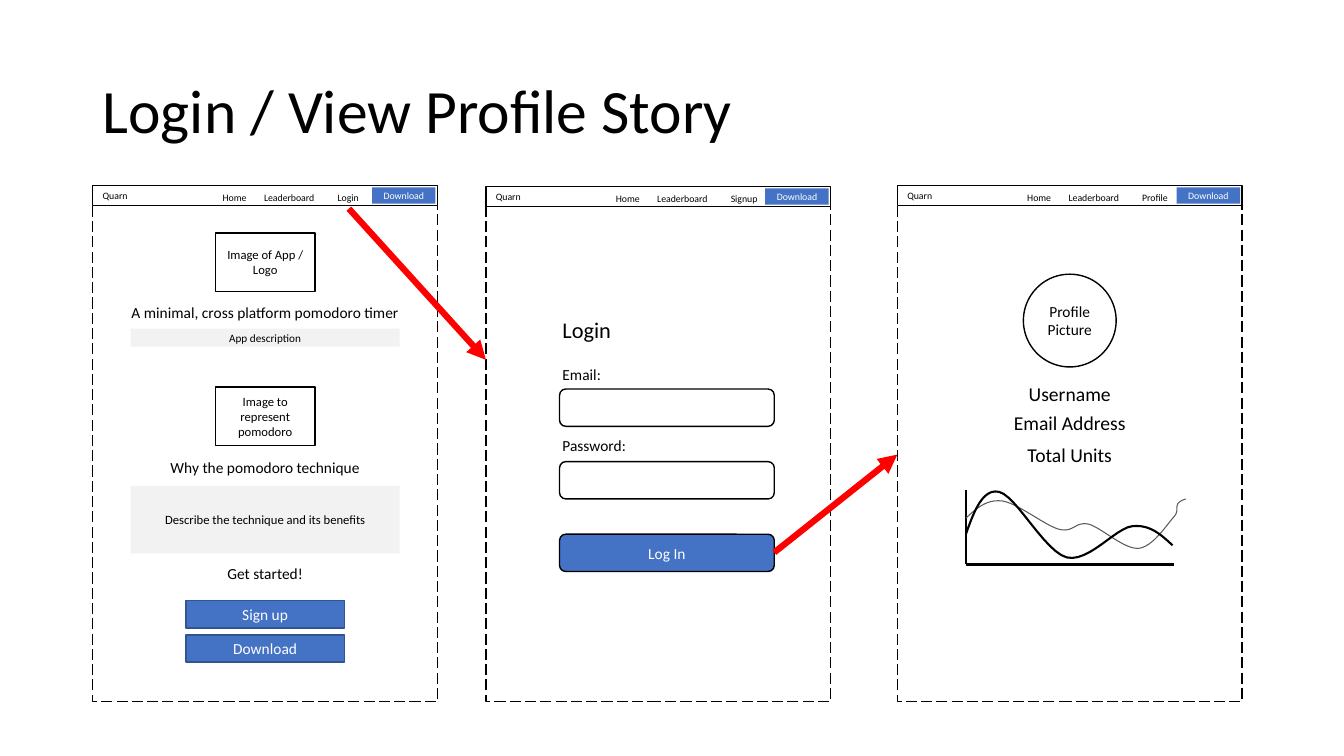
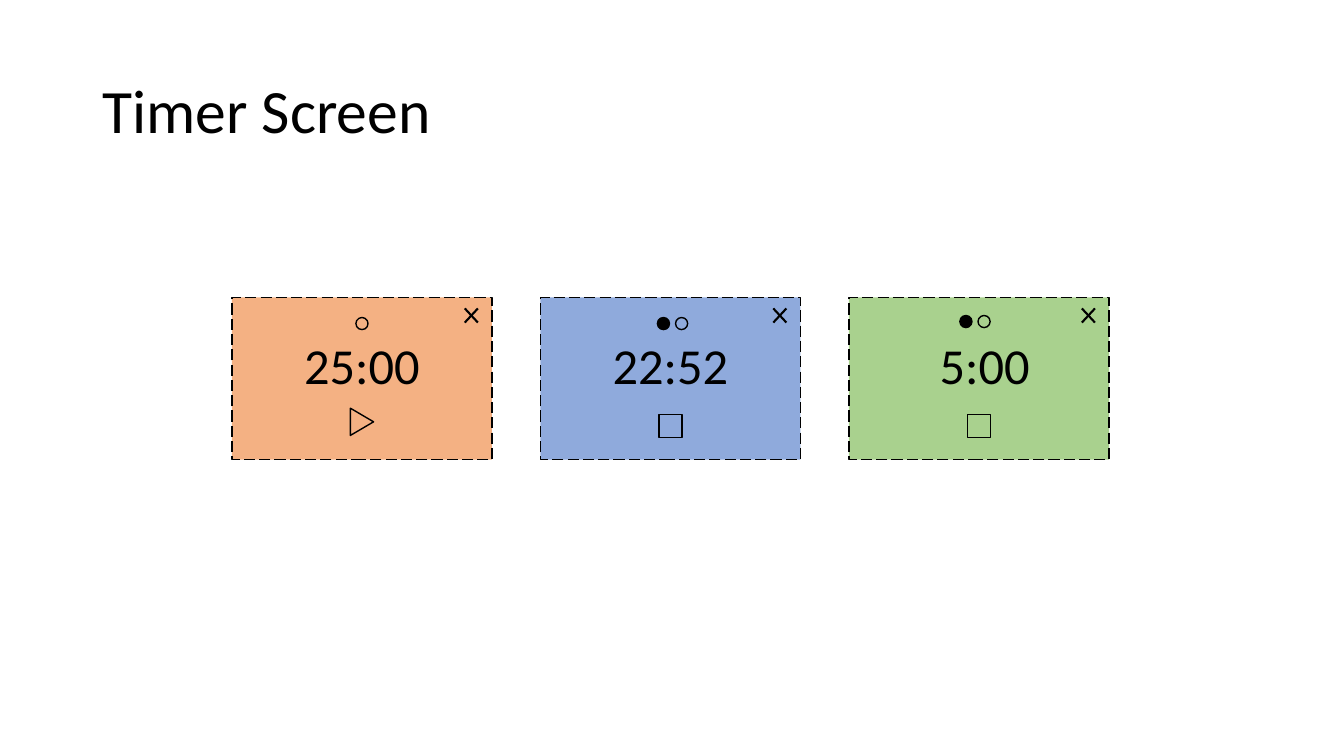
from dataclasses import dataclass

from lxml.etree import SubElement
from pptx import Presentation
from pptx.dml.color import RGBColor
from pptx.enum.dml import MSO_LINE
from pptx.enum.shapes import MSO_CONNECTOR, MSO_SHAPE
from pptx.enum.text import MSO_ANCHOR, MSO_AUTO_SIZE, PP_ALIGN
from pptx.oxml.ns import qn
from pptx.util import Inches, Pt


@dataclass(frozen=True)
class Theme:
    """Colours (RRGGBB) and type sizes (points) shared by both slides."""
    font: str = "Calibri"
    ink: str = "000000"
    paper: str = "FFFFFF"
    accent: str = "4472C4"
    accent_edge: str = "325491"
    grey: str = "F2F2F2"
    faint_ink: str = "595959"
    arrow: str = "FF0000"
    work: str = "F4B183"
    running: str = "8FAADC"
    rest: str = "A9D18E"
    title: int = 44
    clock: int = 36
    heading: int = 16
    detail: int = 14
    body: int = 11
    small: int = 9
    tiny: int = 8
    nav: int = 7


THEME = Theme()

# Formats of the parts inside a screen
STYLES = {
    "image": dict(shape=MSO_SHAPE.RECTANGLE, fill=THEME.paper, line=THEME.ink, size=THEME.small),
    "avatar": dict(shape=MSO_SHAPE.OVAL, fill=THEME.paper, line=THEME.ink),
    "summary": dict(shape=MSO_SHAPE.RECTANGLE, fill=THEME.grey, size=THEME.tiny),
    "story": dict(shape=MSO_SHAPE.RECTANGLE, fill=THEME.grey, size=THEME.small),
    "button": dict(shape=MSO_SHAPE.RECTANGLE, fill=THEME.accent, line=THEME.accent_edge,
                   color=THEME.paper),
    "submit": dict(shape=MSO_SHAPE.ROUNDED_RECTANGLE, fill=THEME.accent, line=THEME.ink,
                   color=THEME.paper),
    "field": dict(shape=MSO_SHAPE.ROUNDED_RECTANGLE, fill=THEME.paper, line=THEME.ink),
    "caption": dict(),
    "detail": dict(size=THEME.detail),
    "label": dict(align=PP_ALIGN.LEFT, wrap=False),
    "heading": dict(size=THEME.heading, align=PP_ALIGN.LEFT, wrap=False),
}

# Screens: left, top of bar, third link with its width, then parts as
# (style, left within the screen or None to centre, top, width, height, text)
FRAME_TOP, FRAME_WIDTH, FRAME_HEIGHT = 2.03, 3.42, 4.93
BRAND, DOWNLOAD = "Quarn", "Download"
STORY_TITLE = "Login / View Profile Story"
SCREENS = [
    (0.92, 1.84, ("Login", 0.42), [
        ("image", None, 2.31, 0.99, 0.58, "Image of App / Logo"),
        ("caption", None, 2.96, 3.42, 0.29, "A minimal, cross platform pomodoro timer"),
        ("summary", None, 3.26, 2.67, 0.18, "App description"),
        ("image", None, 3.84, 0.99, 0.58, "Image to represent pomodoro"),
        ("caption", None, 4.5, 3.42, 0.29, "Why the pomodoro technique"),
        ("story", None, 4.82, 2.67, 0.67, "Describe the technique and its benefits"),
        ("caption", None, 5.55, 3.42, 0.29, "Get started!"),
        ("button", None, 5.96, 1.57, 0.27, "Sign up"),
        ("button", None, 6.3, 1.57, 0.27, DOWNLOAD),
    ]),
    (4.82, 1.85, ("Signup", 0.47), [
        ("heading", 0.66, 3.09, 0.69, 0.37, "Login"),
        ("label", 0.66, 3.57, 0.59, 0.29, "Email:"),
        ("field", 0.73, 3.86, 2.13, 0.37, ""),
        ("label", 0.66, 4.28, 0.84, 0.29, "Password:"),
        ("field", 0.73, 4.58, 2.13, 0.37, ""),
        ("submit", 0.73, 5.3, 2.13, 0.37, "Log In"),
    ]),
    (8.9, 1.84, ("Profile", 0.46), [
        ("avatar", None, 2.72, 0.92, 0.92, "Profile Picture"),
        ("detail", None, 3.74, 3.42, 0.34, "Username"),
        ("detail", None, 4.03, 3.42, 0.34, "Email Address"),
        ("detail", None, 4.34, 3.42, 0.34, "Total Units"),
    ]),
]
STEPS = [((3.46, 2.07), (4.82, 3.57)), ((7.68, 5.48), (8.9, 4.51))]

# Sketched graph: axes, then cubic curves as a start and triples of points
AXES = [((9.58, 4.86), (9.58, 5.6)), ((11.64, 5.6), (9.58, 5.6))]
CURVES = [
    (THEME.faint_ink, 0.75, [
        (9.58, 5.14), (9.68, 5.05), (9.78, 4.95), (9.94, 4.97), (10.09, 4.99), (10.36, 5.21),
        (10.5, 5.25), (10.65, 5.29), (10.66, 5.17), (10.8, 5.2), (10.93, 5.24), (11.15, 5.45),
        (11.29, 5.44), (11.43, 5.43), (11.57, 5.21), (11.64, 5.13), (11.72, 5.05),
        (11.61, 5), (11.76, 4.95)]),
    (THEME.ink, 1.5, [
        (9.58, 5.3), (9.66, 5.07), (9.75, 4.84), (9.91, 4.88), (10.08, 4.92), (10.36, 5.47),
        (10.58, 5.53), (10.8, 5.58), (11.06, 5.24), (11.23, 5.22), (11.41, 5.2),
        (11.52, 5.31), (11.63, 5.41)]),
]

# Timer cards: time, colour, control, filled states of dots, dots' left in card and top
TIMER_TITLE = "Timer Screen"
CARD_LEFT, CARD_TOP, CARD_WIDTH, CARD_HEIGHT, CARD_PITCH = 2.3, 2.95, 2.58, 1.61, 3.06
DOT, DOT_PITCH = 0.12, 0.18
CARDS = [
    ("25:00", THEME.work, "play", (False,), 1.23, 3.15),
    ("22:52", THEME.running, "stop", (True, False), 1.16, 3.15),
    (" 5:00", THEME.rest, "stop", (True, False), 1.1, 3.13),
]
# Control: shape, top, width, height, rotation
CONTROLS = {
    "play": (MSO_SHAPE.ISOSCELES_TRIANGLE, 4.07, 0.27, 0.23, 90),
    "stop": (MSO_SHAPE.RECTANGLE, 4.11, 0.23, 0.23, 0),
}


def write(frame, text, *, size=THEME.body, color=THEME.ink, align=PP_ALIGN.CENTER,
          wrap=True, anchor=MSO_ANCHOR.MIDDLE, spacing=None):
    """Put one formatted paragraph into a text frame."""
    frame.word_wrap = wrap
    frame.vertical_anchor = anchor
    paragraph = frame.paragraphs[0]
    paragraph.alignment = align
    paragraph.line_spacing = spacing
    run = paragraph.add_run()
    run.text = text
    run.font.name = THEME.font
    run.font.size = Pt(size)
    run.font.color.rgb = RGBColor.from_string(color)


def put(shapes, left, top, width, height, text="", *, shape=None, fill=None, line=None,
        dash=None, **text_format):
    """Add a preset shape, or a text box when no shape is given."""
    box = [Inches(value) for value in (left, top, width, height)]
    if shape is None:
        part = shapes.add_textbox(*box)
        text_format.setdefault("anchor", MSO_ANCHOR.TOP)
    else:
        part = shapes.add_shape(shape, *box)
        part.shadow.inherit = False
        if fill:
            part.fill.solid()
            part.fill.fore_color.rgb = RGBColor.from_string(fill)
        else:
            part.fill.background()
        if line:
            part.line.color.rgb = RGBColor.from_string(line)
            part.line.width = Pt(1)
            part.line.dash_style = dash
        else:
            part.line.fill.background()
    if text:
        write(part.text_frame, text, **text_format)
        if shape is None and text_format["anchor"] == MSO_ANCHOR.TOP:
            part.text_frame.auto_size = MSO_AUTO_SIZE.SHAPE_TO_FIT_TEXT
    return part


def connect(shapes, start, end, color=THEME.ink, width=1.5, arrow=False):
    """Draw a straight line, with an arrowhead at its end if asked."""
    link = shapes.add_connector(MSO_CONNECTOR.STRAIGHT,
                                *(Inches(value) for value in (*start, *end)))
    link.line.color.rgb = RGBColor.from_string(color)
    link.line.width = Pt(width)
    properties = link._element.spPr
    if arrow:
        SubElement(properties.find(qn("a:ln")), qn("a:tailEnd"), type="triangle")
    SubElement(properties, qn("a:effectLst"))


def trace(points, steps=12):
    """Return lengths of points along a chain of cubic curves."""
    traced = [points[0]]
    for first in range(0, len(points) - 1, 3):
        corners = points[first:first + 4]
        for step in range(1, steps + 1):
            t = step / steps
            weights = ((1 - t) ** 3, 3 * t * (1 - t) ** 2, 3 * t ** 2 * (1 - t), t ** 3)
            traced.append(tuple(sum(weight * corner[axis]
                                    for weight, corner in zip(weights, corners))
                                for axis in (0, 1)))
    return [(Inches(x), Inches(y)) for x, y in traced]


def draw_curve(shapes, color, width, points):
    """Draw a smooth open outline without a fill."""
    start, *rest = trace(points)
    builder = shapes.build_freeform(*start)
    builder.add_line_segments(rest, close=False)
    curve = builder.convert_to_shape()
    curve.shadow.inherit = False
    curve.fill.background()
    curve.line.color.rgb = RGBColor.from_string(color)
    curve.line.width = Pt(width)


def draw_bar(shapes, left, top, link):
    """Draw the navigation bar of a screen."""
    put(shapes, left, top, FRAME_WIDTH, 0.2, BRAND, shape=MSO_SHAPE.RECTANGLE,
        fill=THEME.paper, line=THEME.ink, size=THEME.nav, align=PP_ALIGN.LEFT)
    links = [(1.19, "Home", 0.44), (1.6, "Leaderboard", 0.71), (2.33, *link)]
    for offset, name, width in links:
        put(shapes, left + offset, top + 0.01, width, 0.22, name,
            size=THEME.nav, align=PP_ALIGN.LEFT, wrap=False)
    put(shapes, left + 2.77, top + 0.02, 0.63, 0.16, DOWNLOAD, shape=MSO_SHAPE.RECTANGLE,
        fill=THEME.accent, size=THEME.nav, color=THEME.paper)


def draw_screen(shapes, left, bar_top, link, parts):
    """Draw a dashed screen with its bar and its parts."""
    put(shapes, left, FRAME_TOP, FRAME_WIDTH, FRAME_HEIGHT, shape=MSO_SHAPE.RECTANGLE,
        fill=THEME.paper, line=THEME.ink, dash=MSO_LINE.LONG_DASH)
    for style, offset, top, width, height, text in parts:
        if offset is None:
            offset = (FRAME_WIDTH - width) / 2
        put(shapes, left + offset, top, width, height, text, **STYLES[style])
    draw_bar(shapes, left, bar_top, link)


def draw_card(shapes, left, time, color, control, dots, dots_left, dots_top):
    """Draw one timer card with clock, close cross, control and dots."""
    put(shapes, left, CARD_TOP, CARD_WIDTH, CARD_HEIGHT, shape=MSO_SHAPE.RECTANGLE,
        fill=color, line=THEME.ink, dash=MSO_LINE.LONG_DASH)
    put(shapes, left, 3.27, CARD_WIDTH, 0.71, time, size=THEME.clock)
    near, far, high, low = left + 2.31, left + 2.44, 3.06, 3.2
    connect(shapes, (near, high), (far, low))
    connect(shapes, (near, low), (far, high))
    shape, top, width, height, turn = CONTROLS[control]
    icon = put(shapes, left + (CARD_WIDTH - width) / 2, top, width, height,
               shape=shape, fill=color, line=THEME.ink)
    icon.rotation = turn
    for index, filled in enumerate(dots):
        put(shapes, left + dots_left + index * DOT_PITCH, dots_top, DOT, DOT,
            shape=MSO_SHAPE.OVAL, fill=THEME.ink if filled else None, line=THEME.ink)


def add_slide(deck, title):
    """Add a blank slide with the shared title."""
    slide = deck.slides.add_slide(deck.slide_layouts[6])
    put(slide.shapes, 0.92, 0.4, 11.5, 1.45, title, size=THEME.title,
        align=PP_ALIGN.LEFT, anchor=MSO_ANCHOR.MIDDLE, spacing=0.9)
    return slide.shapes


def build():
    """Build both slides and save the deck."""
    deck = Presentation()
    deck.slide_width, deck.slide_height = Inches(13.33), Inches(7.5)

    story = add_slide(deck, STORY_TITLE)
    for screen in SCREENS:
        draw_screen(story.add_group_shape().shapes, *screen)
    graph = story.add_group_shape().shapes
    for start, end in AXES:
        connect(graph, start, end)
    for curve in CURVES:
        draw_curve(graph, *curve)
    for start, end in STEPS:
        connect(story, start, end, THEME.arrow, 4.5, arrow=True)

    timer = add_slide(deck, TIMER_TITLE)
    for index, card in enumerate(CARDS):
        draw_card(timer.add_group_shape().shapes, CARD_LEFT + index * CARD_PITCH, *card)
    deck.save("out.pptx")


build()
